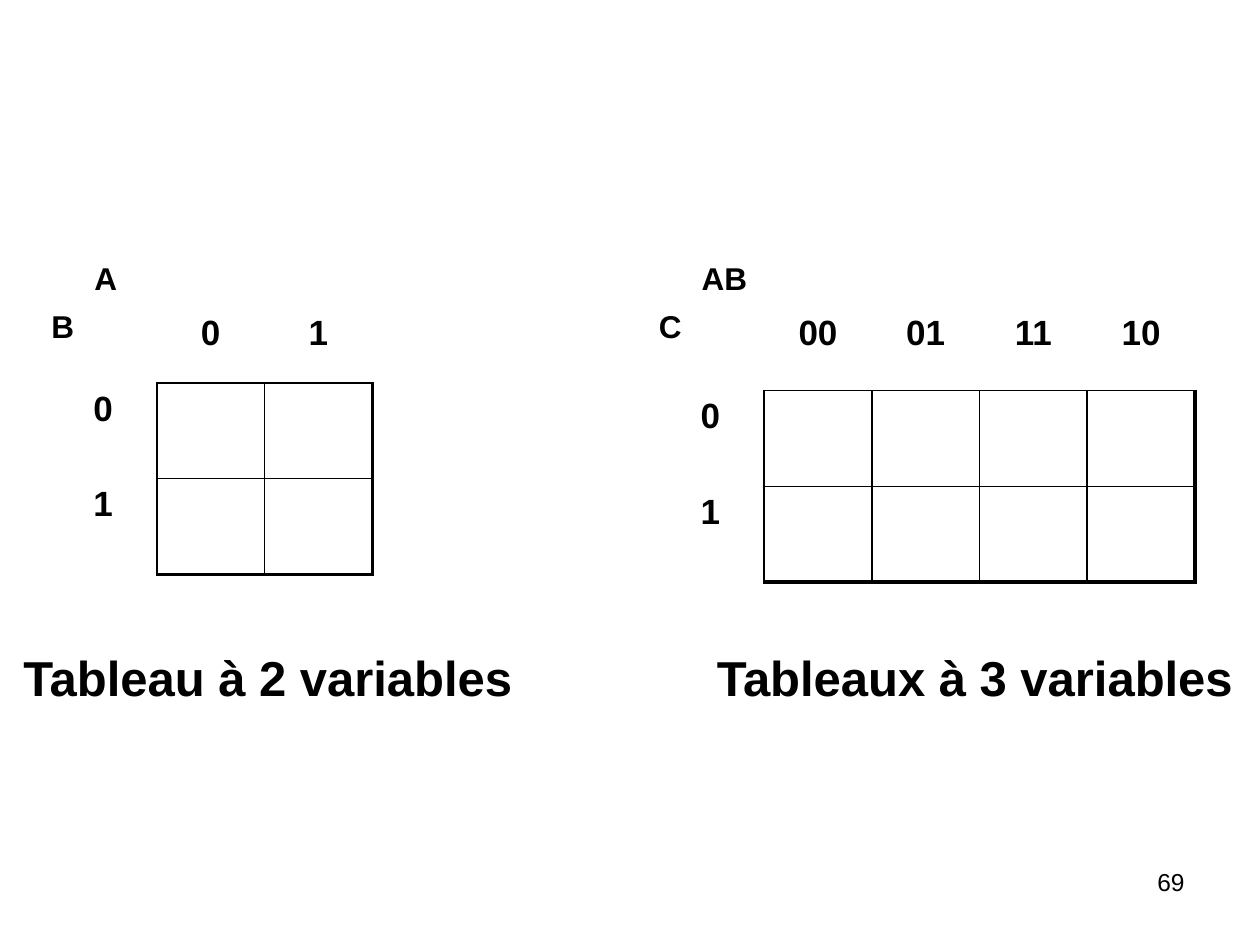
from lxml import etree
from pptx import Presentation
from pptx.dml.color import RGBColor
from pptx.enum import text
from pptx.oxml import ns
from pptx.util import Inches, Pt

FONT, BLACK = "Arial", "000000"
LEFT, CENTER, RIGHT = text.PP_ALIGN.LEFT, text.PP_ALIGN.CENTER, text.PP_ALIGN.RIGHT
THIN, THICK = 1, 2.25


def color(hex_code):
    return RGBColor.from_string(hex_code)


def write(tf, content, size=20, bold=True, align=LEFT, fill=BLACK):
    p = tf.paragraphs[0]
    p.alignment = align
    r = p.add_run()
    r.text = content
    r.font.name, r.font.size, r.font.bold = FONT, Pt(size), bold
    r.font.color.rgb = color(fill)


def add_text(s, content, x, y, w, h, **fmt):
    tf = s.shapes.add_textbox(Inches(x), Inches(y), Inches(w), Inches(h)).text_frame
    tf.word_wrap = True
    write(tf, content, **fmt)


def set_borders(cell, **widths):
    """Draw the sides L, R, T, B at the given widths; other sides stay empty."""
    tcPr = cell._tc.get_or_add_tcPr()
    for i, side in enumerate("LRTB"):
        ln = etree.Element(ns.qn("a:ln" + side))
        tcPr.insert(i, ln)
        if side in widths:
            ln.set("w", str(Pt(widths[side])))
            fill = etree.SubElement(ln, ns.qn("a:solidFill"))
            etree.SubElement(fill, ns.qn("a:srgbClr"), val=BLACK)
        else:
            etree.SubElement(ln, ns.qn("a:noFill"))


def add_karnaugh(s, x, header_h, col_labels, row_labels):
    col_w, row_h = 0.855, 0.76
    n_cols, n_rows = len(col_labels), len(row_labels)
    frame = s.shapes.add_table(
        n_rows + 1, n_cols + 1, Inches(x), Inches(2.07),
        Inches(col_w * (n_cols + 1)), Inches(header_h + row_h * n_rows))
    table = frame.table
    table.first_row = table.horz_banding = False
    for col in table.columns:
        col.width = Inches(col_w)
    for i, row in enumerate(table.rows):
        row.height = Inches(row_h if i else header_h)
        for j, cell in enumerate(row.cells):
            cell.fill.background()
            if i and j:
                set_borders(cell, L=THIN, T=THIN,
                            R=THICK if j == n_cols else THIN,
                            B=THICK if i == n_rows else THIN)
            elif i:
                write(cell.text_frame, row_labels[i - 1], align=CENTER)
                set_borders(cell, R=THIN)
            elif j:
                cell.margin_top = Inches(0.42)
                write(cell.text_frame, col_labels[j - 1], align=CENTER)
                set_borders(cell, B=THIN)
            else:
                set_borders(cell)


def add_variables(s, x, across, down):
    add_text(s, across, x + 0.26, 2.01, 0.85, 0.4, size=18)
    add_text(s, down, x - 0.08, 2.39, 0.51, 0.4, size=18)


def main():
    prs = Presentation()
    prs.slide_width, prs.slide_height = Inches(10), Inches(7.5)
    s = prs.slides.add_slide(prs.slide_layouts[6])

    # Karnaugh maps with their variable names
    maps = [
        (0.39, 0.97, "A", "B", ["0", "1"]),
        (5.21, 1.03, "AB", "C", ["00", "01", "11", "10"]),
    ]
    for x, header_h, across, down, col_labels in maps:
        add_karnaugh(s, x, header_h, col_labels, ["0", "1"])
        add_variables(s, x, across, down)

    # Captions
    add_text(s, "Tableau à 2 variables", 0, 5.09, 4.25, 0.57, size=28, align=CENTER)
    add_text(s, "Tableaux à 3 variables", 5.59, 5.09, 4.41, 0.57, size=28)

    # Slide number
    add_text(s, "69", 7.17, 6.83, 2.33, 0.52, size=14, bold=False, align=RIGHT)

    prs.save("out.pptx")


main()
